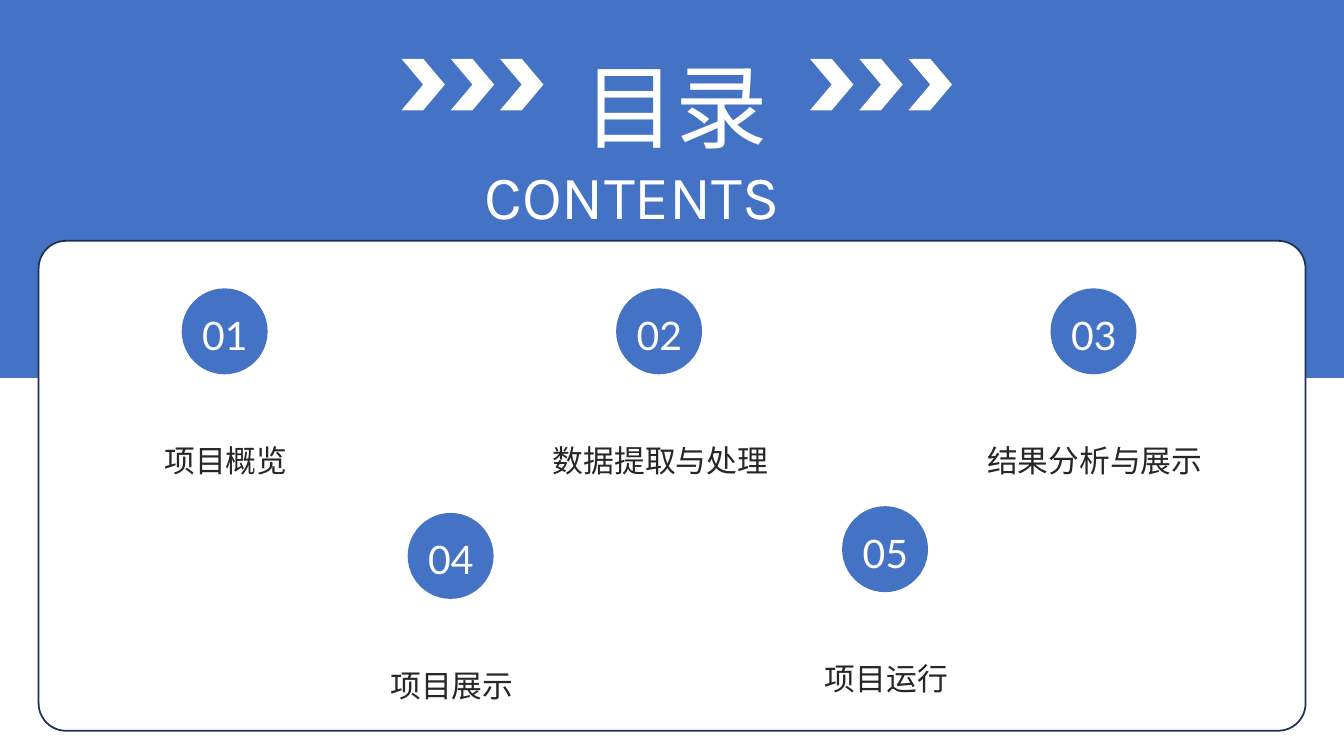
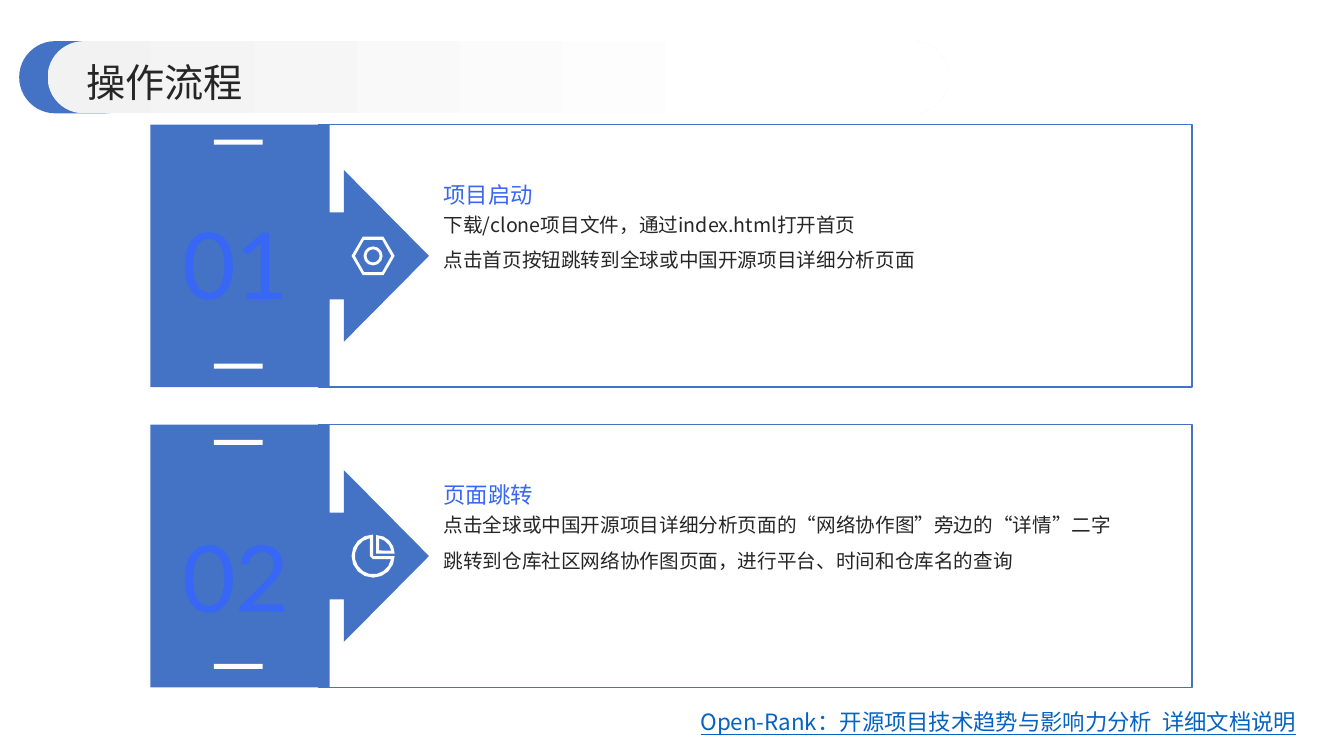
import copy
import math
from pptx import Presentation
from pptx.dml.color import RGBColor
from pptx.enum import shapes, text
from pptx.oxml import ns
from pptx.util import Pt

BLUE = RGBColor(0x44, 0x72, 0xC4)
BRIGHT = RGBColor(0x37, 0x67, 0xF4)
NAVY = RGBColor(0x1E, 0x32, 0x56)
WHITE = RGBColor(0xFF, 0xFF, 0xFF)
PALE = RGBColor(0xF2, 0xF2, 0xF2)
DARK = RGBColor(0x26, 0x26, 0x26)
LINK = RGBColor(0x05, 0x63, 0xC1)
CJK = "Noto Sans CJK SC"
KINDS = shapes.MSO_SHAPE
ANCHOR = text.MSO_ANCHOR
CENTER = text.PP_ALIGN.CENTER


def add_text(slide, wording, left, top, width, height, *, size, font=CJK, color=DARK,
             align=None, anchor=ANCHOR.TOP, spacing=1.3, inset=(0, 0), wrap=True,
             underline=None):
    box = slide.shapes.add_textbox(Pt(left), Pt(top), Pt(width), Pt(height))
    frame = box.text_frame
    frame.word_wrap = wrap
    frame.vertical_anchor = anchor
    frame.margin_left = frame.margin_right = Pt(inset[0])
    frame.margin_top = frame.margin_bottom = Pt(inset[1])
    paragraph = frame.paragraphs[0]
    paragraph.text = wording
    paragraph.alignment = align
    paragraph.line_spacing = spacing
    for run in paragraph.runs:
        run.font.size = Pt(size)
        run.font.name = font
        run.font.underline = underline
        run.font.color.rgb = color
        properties = run._r.get_or_add_rPr()
        east_asian = properties.makeelement(ns.qn("a:ea"), {"typeface": font})
        properties.find(ns.qn("a:latin")).addnext(east_asian)
    for line_break in paragraph._p.findall(ns.qn("a:br")):
        line_break.append(copy.deepcopy(properties))


def add_shape(slide, kind, left, top, width, height, fill, line=None, line_width=1,
              adjustments=()):
    shape = slide.shapes.add_shape(kind, Pt(left), Pt(top), Pt(width), Pt(height))
    shape.shadow.inherit = False
    shape.fill.solid()
    shape.fill.fore_color.rgb = fill
    if line is None:
        shape.line.fill.background()
    else:
        shape.line.color.rgb = line
        shape.line.width = Pt(line_width)
    for index, value in enumerate(adjustments):
        shape.adjustments[index] = value
    return shape


presentation = Presentation()
presentation.slide_width = Pt(960)
presentation.slide_height = Pt(540)
blank = presentation.slide_layouts[6]

slide = presentation.slides.add_slide(blank)
add_shape(slide, KINDS.RECTANGLE, 0, 0, 960, 270, BLUE)
add_text(slide, "目录", 409.7, 7.9, 147.6, 104.4, size=66, font="Karla", color=WHITE,
         inset=(7.2, 3.6), wrap=False)
add_shape(slide, KINDS.ROUNDED_RECTANGLE, 27.6, 172, 905, 350, WHITE, NAVY, 1.25, [0.056])
add_text(slide, "CONTENTS", 339, 93.6, 300, 72, size=44, font="Karla", color=WHITE,
         inset=(7.2, 3.6))

for group_left in (286.8, 578.6):
    for index in range(3):
        add_shape(slide, KINDS.CHEVRON, group_left + index * 35.2, 42, 31, 36.8, WHITE)

contents = [
    ("项目概览", 129.8, 206),
    ("数据提取与处理", 440.1, 206),
    ("结果分析与展示", 750.4, 206),
    ("项目展示", 291.2, 366.4),
    ("项目运行", 601.5, 361.6),
]
for number, (label, left, top) in enumerate(contents, 1):
    add_shape(slide, KINDS.OVAL, left, top, 61.4, 61.4, BLUE)
    add_text(slide, f"{number:02}", left + 3.6, top + 10, 54.6, 36, size=28, font="Lato",
             color=WHITE, align=CENTER, anchor=ANCHOR.MIDDLE)
    add_text(slide, label, left - 60.2, top + 95, 183.6, 47.6, size=22, font="Karla",
             align=CENTER, anchor=ANCHOR.MIDDLE)

slide = presentation.slides.add_slide(blank)

arcs = []
for center_x, center_y, radius, start, end, count in [
    (0, 0, 6.8, 0, 330, 11),
    (0, 0, 4.7, 0, 330, 11),
    (0, 0, 15.4, 0, 270, 12),
    (0, 0, 13, 10, 260, 11),
    (2.2, -1.8, 13.2, 270, 360, 4),
    (2.2, -1.8, 11, 281, 349, 3),
]:
    angles = [math.radians(start + (end - start) * step / count) for step in range(count + 1)]
    arcs.append([(center_x + radius * math.cos(angle), center_y + radius * math.sin(angle))
                 for angle in angles])
hexagons = [
    [(-tip, 0), (-side, -rise), (side, -rise), (tip, 0), (side, rise), (-side, rise)]
    for tip, side, rise in [(15.4, 7.4, 13.7), (13, 6.5, 11.5)]
]
nut_icon = hexagons + arcs[:2]
pie_icon = [
    arcs[2] + [(0, 0)],
    arcs[3] + [(-2.2, 0), (0, 2.2)],
    arcs[4] + [(2.2, -1.8)],
    arcs[5] + [(4.3, -4)],
]

steps = [
    ("01", "项目启动",
     "下载/clone项目文件，通过index.html打开首页\v"
     "点击首页按钮跳转到全球或中国开源项目详细分析页面",
     89, 148, 368, nut_icon),
    ("02", "页面跳转",
     "点击全球或中国开源项目详细分析页面的“网络协作图”旁边的“详情”二字\v"
     "跳转到仓库社区网络协作图页面，进行平台、时间和仓库名的查询",
     303.4, 371.2, 484.6, pie_icon),
]
for number, heading, body, top, number_top, body_width, icon in steps:
    add_shape(slide, KINDS.RECTANGLE, 227.5, top, 624, 187.6, WHITE, BLUE)
    add_shape(slide, KINDS.RIGHT_ARROW_CALLOUT, 107.5, top, 198.9, 187.6, BLUE,
              adjustments=[0.331, 0.327, 0.324, 0.643])
    add_text(slide, number, 109.3, number_top, 118, 79, size=66, font="Lato", color=BRIGHT,
             align=CENTER, spacing=1)

    icon_x, icon_y = 266.5, top + 93.8
    builder = None
    for outline in icon:
        points = [(Pt(icon_x + x), Pt(icon_y + y)) for x, y in outline]
        if builder is None:
            builder = slide.shapes.build_freeform(*points[0])
        else:
            builder.move_to(*points[0])
        builder.add_line_segments(points[1:], close=True)
    shape = builder.convert_to_shape()
    shape.shadow.inherit = False
    shape.fill.solid()
    shape.fill.fore_color.rgb = WHITE
    shape.line.fill.background()

    for offset in (10.8, 170.8):
        add_shape(slide, KINDS.RECTANGLE, 152.8, top + offset, 34.8, 3.6, WHITE)
    add_text(slide, body, 316.8, top + 54.8, body_width, 111.6, size=14, spacing=1.5)
    add_text(slide, heading, 316.8, top + 30.7, 368, 28.8, size=16, color=BRIGHT,
             anchor=ANCHOR.BOTTOM)

add_shape(slide, KINDS.ROUNDED_RECTANGLE, 13.7, 29.4, 87.1, 51.6, BLUE, adjustments=[0.5])
title_band = add_shape(slide, KINDS.ROUNDED_RECTANGLE, 34, 29.4, 643.7, 51.6, PALE,
                       adjustments=[0.5])
title_band.fill.gradient()
title_band.fill.gradient_angle = 0
for stop, position, color in zip(title_band.fill.gradient_stops, (0, 0.8), (PALE, WHITE)):
    stop.position = position
    stop.color.rgb = color
add_text(slide, "操作流程", 61.8, 38.2, 840, 36.7, size=28, anchor=ANCHOR.MIDDLE, spacing=1.1)
add_text(slide, "Open-Rank：开源项目技术趋势与影响力分析  详细文档说明", 500.4, 496.4, 459, 28.8,
         size=16, color=LINK, anchor=ANCHOR.BOTTOM, underline=True)

presentation.save("out.pptx")
